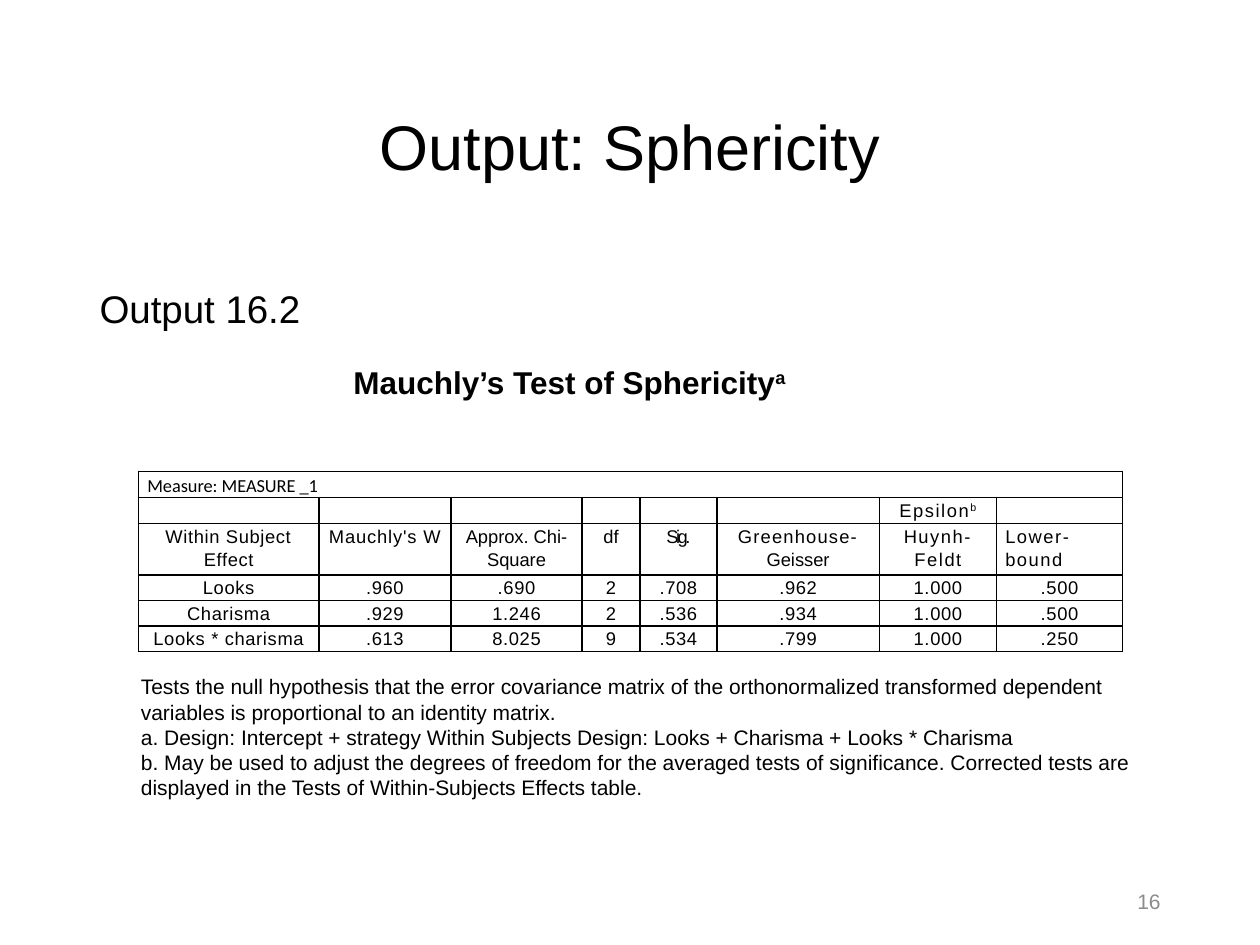
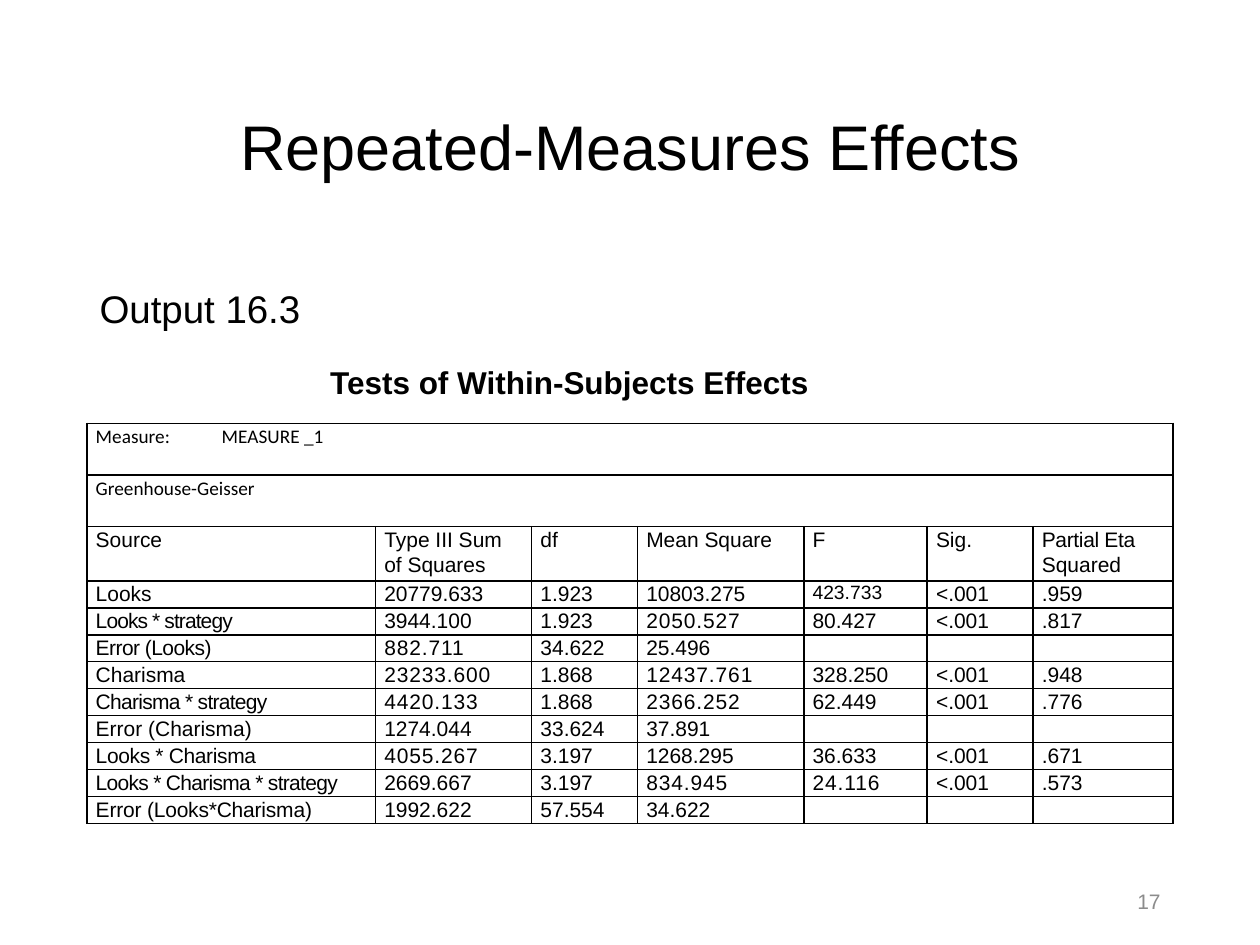
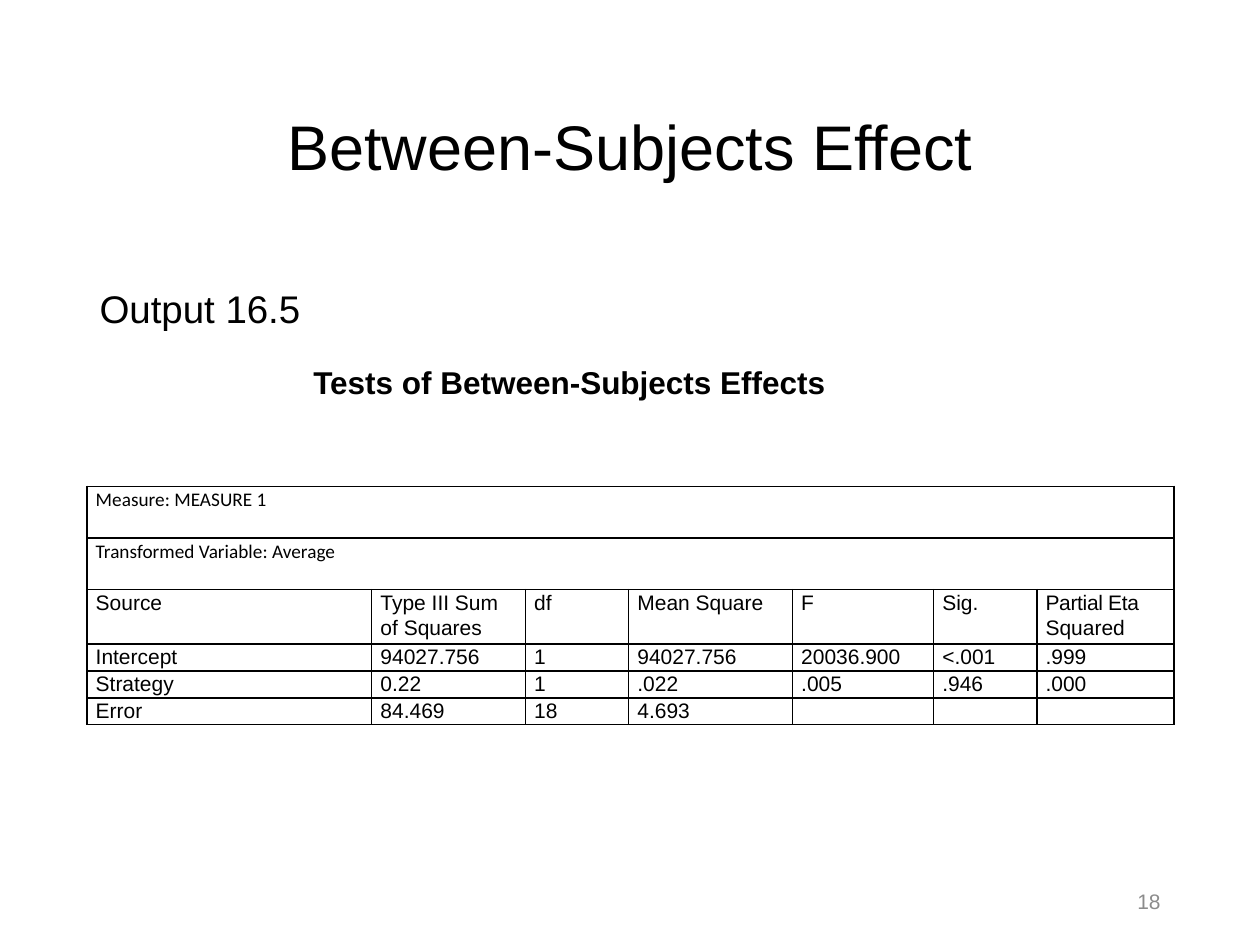
from dataclasses import dataclass

from lxml import etree
from pptx import Presentation
from pptx import util as u
from pptx.dml import color
from pptx.enum import text
from pptx.oxml import ns


@dataclass(frozen=True)
class Theme:
    ink: str = "000000"
    muted: str = "8C8C8C"
    font: str = "Arial"
    label_font: str = "Calibri"
    title: float = 36
    body: float = 22
    heading: float = 18
    small: float = 12
    border: float = 1


THEME = Theme()
LEFT, CENTER, RIGHT = text.PP_ALIGN.LEFT, text.PP_ALIGN.CENTER, text.PP_ALIGN.RIGHT
MIDDLE, TOP = text.MSO_ANCHOR.MIDDLE, text.MSO_ANCHOR.TOP

TITLE_AREA = (0.69, 0.47, 8.62, 1.45)
BODY_AREA = (0.69, 2.21, 8.62, 0.75)
HEADING_AREA = (2.31, 2.83, 4.42, 0.4)
NOTES_AREA = (1.02, 5.3, 8.17, 1.11)
NUMBER_AREA = (7.06, 6.95, 2.25, 0.4)
FIRST_NUMBER = 16

EFFECT_HEADER = ["Source", "Type III Sum of Squares", "df", "Mean Square", "F",
                 "Sig.", ("Partial Eta ", "Squared")]
EFFECT_STYLE = {
    "left": 0.69, "lead_heights": [0.41, 0.41, 0.43], "label_size": 11,
    "size": THEME.small, "align": LEFT, "line_spacing": 1.07, "body_tracking": 0,
}

SLIDES = [
    {
        "title": "Output: Sphericity",
        "body": "Output 16.2",
        "heading": ("Mauchly’s Test of Sphericity", "^a"),
        "table": {
            "left": 1.1, "top": 3.74, "lead_heights": [0.21, 0.2, 0.41],
            "body_height": 0.61, "label_size": 10.5, "size": 10.5,
            "align": CENTER, "line_spacing": 1.16, "body_tracking": 0.4,
            "widths": [1.43, 1.05, 1.04, 0.46, 0.61, 1.29, 0.93, 1],
            "labels": ["Measure: MEASURE _1"],
            "header": [
                ["", "", "", "", "", "", ("Epsilon", "^b"), ""],
                ["Within Subject Effect", "Mauchly's W", "Approx. Chi-Square", "df",
                 "Sig.", ("Greenhouse-", "Geisser"), "Huynh-Feldt", "Lower-bound"],
            ],
            "body": [
                ["Looks", ".960", ".690", "2", ".708", ".962", "1.000", ".500"],
                ["Charisma", ".929", "1.246", "2", ".536", ".934", "1.000", ".500"],
                ["Looks * charisma", ".613", "8.025", "9", ".534", ".799", "1.000", ".250"],
            ],
            "tracking": {
                "Epsilon": 0.9, "^b": 0.9, "Within Subject Effect": 0.4,
                "Mauchly's W": 0.5, "Sig.": -1.4, "Greenhouse-": 0.7,
                "Huynh-Feldt": 0.9, "Lower-bound": 0.9,
            },
            "aligns": {"Lower-bound": LEFT},
            "sizes": {},
        },
        "notes": [
            "Tests the null hypothesis that the error covariance matrix of the "
            "orthonormalized transformed dependent variables is proportional to an "
            "identity matrix.",
            "a. Design: Intercept + strategy Within Subjects Design: Looks + Charisma "
            "+ Looks * Charisma",
            "b. May be used to adjust the degrees of freedom for the averaged tests of "
            "significance. Corrected tests are displayed in the Tests of "
            "Within-Subjects Effects table.",
        ],
    },
    {
        "title": "Repeated-Measures Effects",
        "body": "Output 16.3",
        "heading": ("Tests of Within-Subjects Effects",),
        "table": {
            **EFFECT_STYLE, "top": 3.36, "body_height": 1.93,
            "widths": [2.29, 1.24, 0.84, 1.32, 0.98, 0.84, 1.11],
            "labels": ["Measure:\tMEASURE _1", "Greenhouse-Geisser"],
            "header": [EFFECT_HEADER],
            "body": [
                ["Looks", "20779.633", "1.923", "10803.275", "423.733", "<.001", ".959"],
                ["Looks * strategy", "3944.100", "1.923", "2050.527", "80.427", "<.001", ".817"],
                ["Error (Looks)", "882.711", "34.622", "25.496", "", "", ""],
                ["Charisma", "23233.600", "1.868", "12437.761", "328.250", "<.001", ".948"],
                ["Charisma * strategy", "4420.133", "1.868", "2366.252", "62.449", "<.001", ".776"],
                ["Error (Charisma)", "1274.044", "33.624", "37.891", "", "", ""],
                ["Looks * Charisma", "4055.267", "3.197", "1268.295", "36.633", "<.001", ".671"],
                ["Looks * Charisma * strategy", "2669.667", "3.197", "834.945", "24.116",
                 "<.001", ".573"],
                ["Error (Looks*Charisma)", "1992.622", "57.554", "34.622", "", "", ""],
            ],
            "tracking": {
                "Partial Eta ": -0.2, "Looks * strategy": -0.5, "Error (Looks)": -0.3,
                "Charisma * strategy": -0.4, "Looks * Charisma": -0.2,
                "Looks * Charisma * strategy": -0.4, "Error (Looks*Charisma)": -0.1,
                **dict.fromkeys(["2050.527", "882.711", "23233.600", "12437.761",
                                 "4420.133", "2366.252", "4055.267", "834.945",
                                 "24.116"], 0.5),
            },
            "aligns": {},
            "sizes": {"423.733": 11},
        },
        "notes": [],
    },
    {
        "title": "Between-Subjects Effect",
        "body": "Output 16.5",
        "heading": ("Tests of Between-Subjects Effects",),
        "table": {
            **EFFECT_STYLE, "top": 3.86, "body_height": 0.64,
            "widths": [2.26, 1.22, 0.82, 1.3, 1.12, 0.82, 1.09],
            "labels": ["Measure: MEASURE 1", "Transformed Variable: Average"],
            "header": [EFFECT_HEADER],
            "body": [
                ["Intercept", "94027.756", "1", "94027.756", "20036.900", "<.001", ".999"],
                ["Strategy", "0.22", "1", ".022", ".005", ".946", ".000"],
                ["Error", "84.469", "18", "4.693", "", "", ""],
            ],
            "tracking": {"Partial Eta ": -0.2},
            "aligns": {},
            "sizes": {},
        },
        "notes": [],
    },
]


def set_values(target, values):
    for name, value in values.items():
        setattr(target, name, value)


def add_span(para, words, size, font=THEME.font, ink=THEME.ink, bold=False, tracking=0):
    span = para.add_run()
    span.text = words.removeprefix("^")
    set_values(span.font, {"size": u.Pt(size), "name": font, "bold": bold})
    span.font.color.rgb = color.RGBColor.from_string(ink)
    properties = span._r.get_or_add_rPr()
    if words.startswith("^"):
        properties.set("baseline", "30000")
    if tracking:
        properties.set("spc", str(round(tracking * 100)))


def write(frame, paragraphs, size, align=LEFT, anchor=TOP, line_spacing=1.0,
          grow=False, **look):
    auto_size = text.MSO_AUTO_SIZE.SHAPE_TO_FIT_TEXT if grow else text.MSO_AUTO_SIZE.NONE
    set_values(frame, {"word_wrap": True, "auto_size": auto_size, "vertical_anchor": anchor})
    for index, spans in enumerate(paragraphs):
        para = frame.add_paragraph() if index else frame.paragraphs[0]
        set_values(para, {"alignment": align, "line_spacing": line_spacing,
                          "space_before": u.Pt(0)})
        for words in spans:
            add_span(para, words, size, **look)


def place(shape, area):
    set_values(shape, dict(zip(("left", "top", "width", "height"), map(u.Inches, area))))


def add_text(page, area, paragraphs, size, **look):
    box = page.shapes.add_textbox(*map(u.Inches, area))
    write(box.text_frame, paragraphs, size, **look)


def draw_borders(cell):
    properties = cell._tc.get_or_add_tcPr()
    for side in ("a:lnL", "a:lnR", "a:lnT", "a:lnB"):
        line = etree.SubElement(properties, ns.qn(side), w=str(u.Pt(THEME.border)))
        fill = etree.SubElement(line, ns.qn("a:solidFill"))
        etree.SubElement(fill, ns.qn("a:srgbClr"), val=THEME.ink)


def fill_cell(cell, content, style, is_label, is_body):
    set_values(cell, {"margin_left": u.Inches(0.07), "margin_right": u.Inches(0.07),
                      "margin_top": 0, "margin_bottom": 0})
    draw_borders(cell)
    cell.fill.background()
    para = cell.text_frame.paragraphs[0]
    align = LEFT if is_label else style["aligns"].get(content, style["align"])
    set_values(para, {"alignment": align, "line_spacing": style["line_spacing"]})
    size = style["label_size"] if is_label else style["sizes"].get(content, style["size"])
    if not content:
        etree.SubElement(para._p, ns.qn("a:endParaRPr"), sz=str(round(size * 100)))
        return
    font = THEME.label_font if is_label else THEME.font
    for words in (content,) if isinstance(content, str) else content:
        default = style["body_tracking"] if is_body else 0
        add_span(para, words, size, font, tracking=style["tracking"].get(words, default))


def add_results(page, style):
    widths, labels, body = style["widths"], style["labels"], style["body"]
    label_rows = [[label] + [""] * (len(widths) - 1) for label in labels]
    rows = label_rows + style["header"] + body
    body_start = len(rows) - len(body)
    heights = style["lead_heights"] + [style["body_height"] / len(body)] * len(body)
    area = (style["left"], style["top"], sum(widths), sum(heights))
    table = page.shapes.add_table(len(rows), len(widths), *map(u.Inches, area)).table
    set_values(table, {"first_row": False, "horz_banding": False})
    for column, width in zip(table.columns, widths):
        column.width = u.Inches(width)
    for row_index, (row, height) in enumerate(zip(rows, heights)):
        table.rows[row_index].height = u.Inches(height)
        is_label = row_index < len(labels)
        for column_index, content in enumerate(row):
            fill_cell(table.cell(row_index, column_index), content, style,
                      is_label, row_index >= body_start)
        if is_label:
            table.cell(row_index, 0).merge(table.cell(row_index, len(widths) - 1))


def add_body(page, words):
    body = page.placeholders[1]
    place(body, BODY_AREA)
    properties = body.text_frame.paragraphs[0]._p.get_or_add_pPr()
    set_bullet = {"marL": "0", "indent": "0"}
    for name, value in set_bullet.items():
        properties.set(name, value)
    etree.SubElement(properties, ns.qn("a:buNone"))
    write(body.text_frame, [(words,)], THEME.body)


def add_page(deck, number, content):
    page = deck.slides.add_slide(deck.slide_layouts[1])
    place(page.shapes.title, TITLE_AREA)
    write(page.shapes.title.text_frame, [(content["title"],)], THEME.title,
          align=CENTER, anchor=MIDDLE, line_spacing=0.9)
    add_body(page, content["body"])
    add_text(page, HEADING_AREA, [content["heading"]], THEME.heading,
             align=CENTER, bold=True, grow=True)
    add_results(page, content["table"])
    if content["notes"]:
        add_text(page, NOTES_AREA, [(note,) for note in content["notes"]],
                 THEME.small, grow=True)
    add_text(page, NUMBER_AREA, [(str(number),)], THEME.small,
             align=RIGHT, anchor=MIDDLE, ink=THEME.muted)


def main():
    deck = Presentation()
    set_values(deck, {"slide_width": u.Inches(10), "slide_height": u.Inches(7.5)})
    for number, content in enumerate(SLIDES, FIRST_NUMBER):
        add_page(deck, number, content)
    deck.save("out.pptx")


if __name__ == "__main__":
    main()
